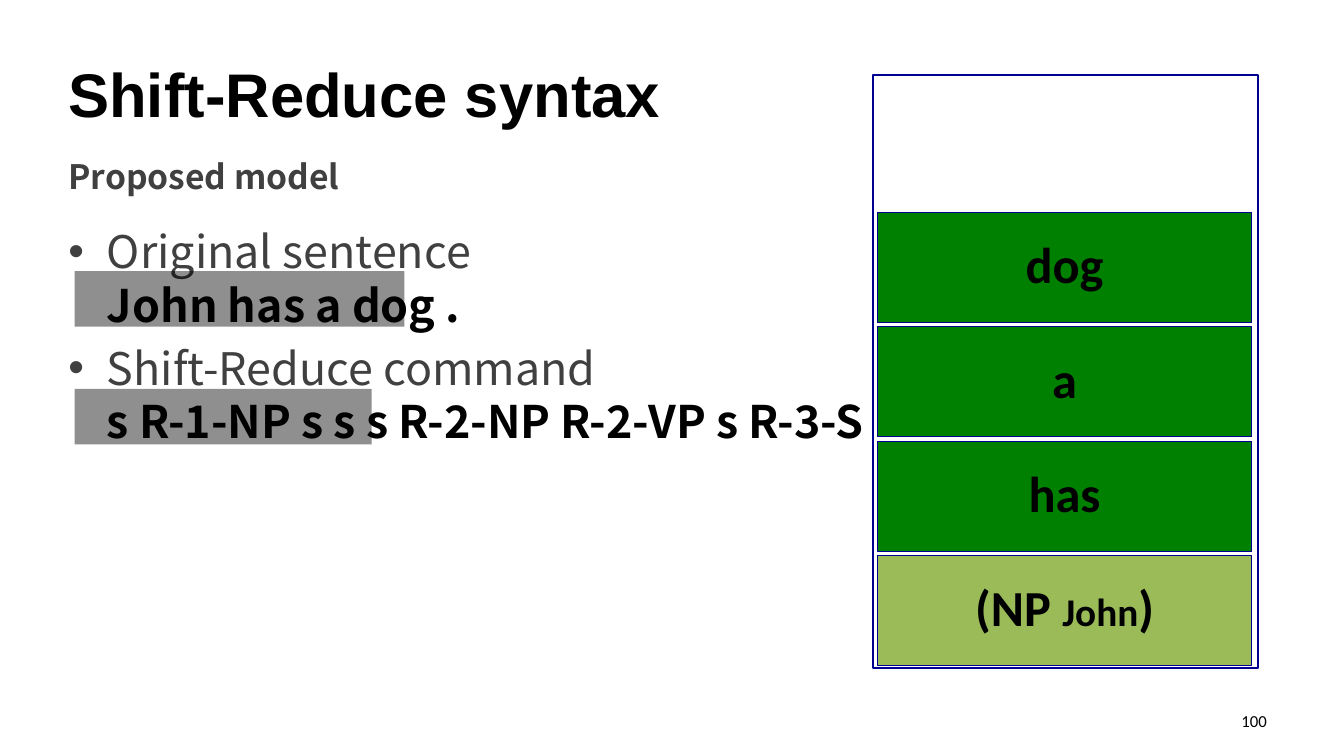
from dataclasses import dataclass

from lxml import etree
from pptx import Presentation
from pptx.dml.color import RGBColor
from pptx.enum.shapes import MSO_SHAPE
from pptx.enum.text import MSO_ANCHOR, MSO_AUTO_SIZE, PP_ALIGN
from pptx.oxml.ns import qn
from pptx.util import Cm, Pt

RECTANGLE = MSO_SHAPE.RECTANGLE
MIDDLE, TOP = MSO_ANCHOR.MIDDLE, MSO_ANCHOR.TOP
LEFT, CENTER, RIGHT = PP_ALIGN.LEFT, PP_ALIGN.CENTER, PP_ALIGN.RIGHT
NO_AUTOFIT = MSO_AUTO_SIZE.NONE


@dataclass(frozen=True)
class Theme:
    title_font: str = "Arial"
    body_font: str = "Noto Sans CJK KR"
    stack_font: str = "Calibri"
    black: str = "000000"
    grey: str = "404040"
    navy: str = "000090"
    shifted: str = "008000"
    reduced: str = "9BBB59"
    title_size: float = 44
    subtitle_size: float = 24
    body_size: float = 32
    stack_size: float = 36
    leaf_size: float = 28
    number_size: float = 12


THEME = Theme()

TITLE = "Shift-Reduce syntax"
SUBTITLE = "Proposed model"
BULLETS = [
    ("Original sentence", "John has a dog ."),
    ("Shift-Reduce command", "s R-1-NP s s s R-2-NP R-2-VP s R-3-S"),
]
PAGE_NUMBER = "100"
# Stack from top to bottom: fill and (text, size) runs
STACK = [
    (THEME.shifted, [("dog", THEME.stack_size)]),
    (THEME.shifted, [("a", THEME.stack_size)]),
    (THEME.shifted, [("has", THEME.stack_size)]),
    (THEME.reduced, [("(NP ", THEME.stack_size), ("John", THEME.leaf_size),
                     (")", THEME.stack_size)]),
]

# Boxes in cm: left, top, width, height
TITLE_BOX = (1.47, 1.12, 30.91, 2.46)
SUBTITLE_BOX = (1.47, 3.81, 30.91, 0.97)
BODY_BOX = (1.47, 5.51, 22.35, 10.62)
NUMBER_BOX = (24.28, 17.65, 7.9, 1.02)
FRAME_BOX = (22, 1.9, 9.7, 14.94)
PROGRESS_BOXES = [(1.88, 9.8, 7.49, 1.4), (1.88, 6.83, 8.31, 1.4)]
CELL_LEFT, CELL_TOP, CELL_WIDTH, CELL_HEIGHT = 22.11, 5.36, 9.44, 2.77
CELL_PITCH = 2.88
BULLET_INDENT = Cm(0.97)
PROGRESS_OPACITY = 44


def in_cm(box):
    return [Cm(value) for value in box]


def place(shape, box):
    shape.left, shape.top, shape.width, shape.height = in_cm(box)


def set_frame(text_frame, anchor):
    text_frame.word_wrap = True
    text_frame.auto_size = NO_AUTOFIT
    text_frame.vertical_anchor = anchor


def add_run(paragraph, text, font, size, color, bold=False):
    run = paragraph.add_run()
    run.text = text
    run.font.name = font
    run.font.size = Pt(size)
    run.font.bold = bold
    run.font.color.rgb = RGBColor.from_string(color)


def add_rectangle(slide, box, fill=None, line=None, line_width=0.75):
    rectangle = slide.shapes.add_shape(RECTANGLE, *in_cm(box))
    rectangle.shadow.inherit = False
    if fill:
        rectangle.fill.solid()
        rectangle.fill.fore_color.rgb = RGBColor.from_string(fill)
    else:
        rectangle.fill.background()
    if line:
        rectangle.line.color.rgb = RGBColor.from_string(line)
        rectangle.line.width = Pt(line_width)
    else:
        rectangle.line.fill.background()
    return rectangle


def add_headings(slide):
    title, subtitle = slide.shapes.title, slide.placeholders[2]
    place(title, TITLE_BOX)
    set_frame(title.text_frame, MIDDLE)
    heading = title.text_frame.paragraphs[0]
    heading.alignment = LEFT
    add_run(heading, TITLE, THEME.title_font, THEME.title_size, THEME.black, True)

    place(subtitle, SUBTITLE_BOX)
    set_frame(subtitle.text_frame, TOP)
    subheading = subtitle.text_frame.paragraphs[0]
    subheading.space_before = Pt(0)
    add_run(subheading, SUBTITLE, THEME.body_font, THEME.subtitle_size, THEME.grey, True)


def add_bullets(slide):
    body = slide.placeholders[1]
    place(body, BODY_BOX)
    set_frame(body.text_frame, TOP)
    for index, (label, example) in enumerate(BULLETS):
        frame = body.text_frame
        paragraph = frame.add_paragraph() if index else frame.paragraphs[0]
        properties = paragraph._p.get_or_add_pPr()
        properties.set("marL", str(BULLET_INDENT))
        properties.set("indent", str(-BULLET_INDENT))
        etree.SubElement(properties, qn("a:buChar")).set("char", "•")
        paragraph.space_before = Pt(0.2 * THEME.body_size if index else 0)
        add_run(paragraph, label, THEME.body_font, THEME.body_size, THEME.grey)
        paragraph.add_line_break()
        add_run(paragraph, example, THEME.body_font, THEME.body_size, THEME.black, True)


def add_stack(slide):
    add_rectangle(slide, FRAME_BOX, line=THEME.navy, line_width=1.5)
    for row, (fill, runs) in enumerate(STACK):
        box = (CELL_LEFT, CELL_TOP + row * CELL_PITCH, CELL_WIDTH, CELL_HEIGHT)
        frame = add_rectangle(slide, box, fill, THEME.navy).text_frame
        set_frame(frame, MIDDLE)
        frame.margin_left = frame.margin_right = 0
        frame.margin_top = frame.margin_bottom = 0
        paragraph = frame.paragraphs[0]
        paragraph.alignment = CENTER
        paragraph.line_spacing = 0.9
        for text, size in runs:
            add_run(paragraph, text, THEME.stack_font, size, THEME.black, True)


def add_progress(slide):
    """Shade the part of each example that is already processed."""
    for box in PROGRESS_BOXES:
        shade = add_rectangle(slide, box, THEME.black)
        color = shade._element.spPr.find(qn("a:solidFill"))[0]
        etree.SubElement(color, qn("a:alpha")).set("val", str(PROGRESS_OPACITY * 1000))


def add_page_number(slide):
    frame = slide.shapes.add_textbox(*in_cm(NUMBER_BOX)).text_frame
    set_frame(frame, MIDDLE)
    paragraph = frame.paragraphs[0]
    paragraph.alignment = RIGHT
    add_run(paragraph, PAGE_NUMBER, THEME.stack_font, THEME.number_size, THEME.black)


def main():
    presentation = Presentation()
    presentation.slide_width, presentation.slide_height = Cm(33.87), Cm(19.05)
    slide = presentation.slides.add_slide(
        presentation.slide_layouts.get_by_name("Content with Caption"))
    add_headings(slide)
    add_bullets(slide)
    add_stack(slide)
    add_progress(slide)
    add_page_number(slide)
    presentation.save("out.pptx")


if __name__ == "__main__":
    main()
